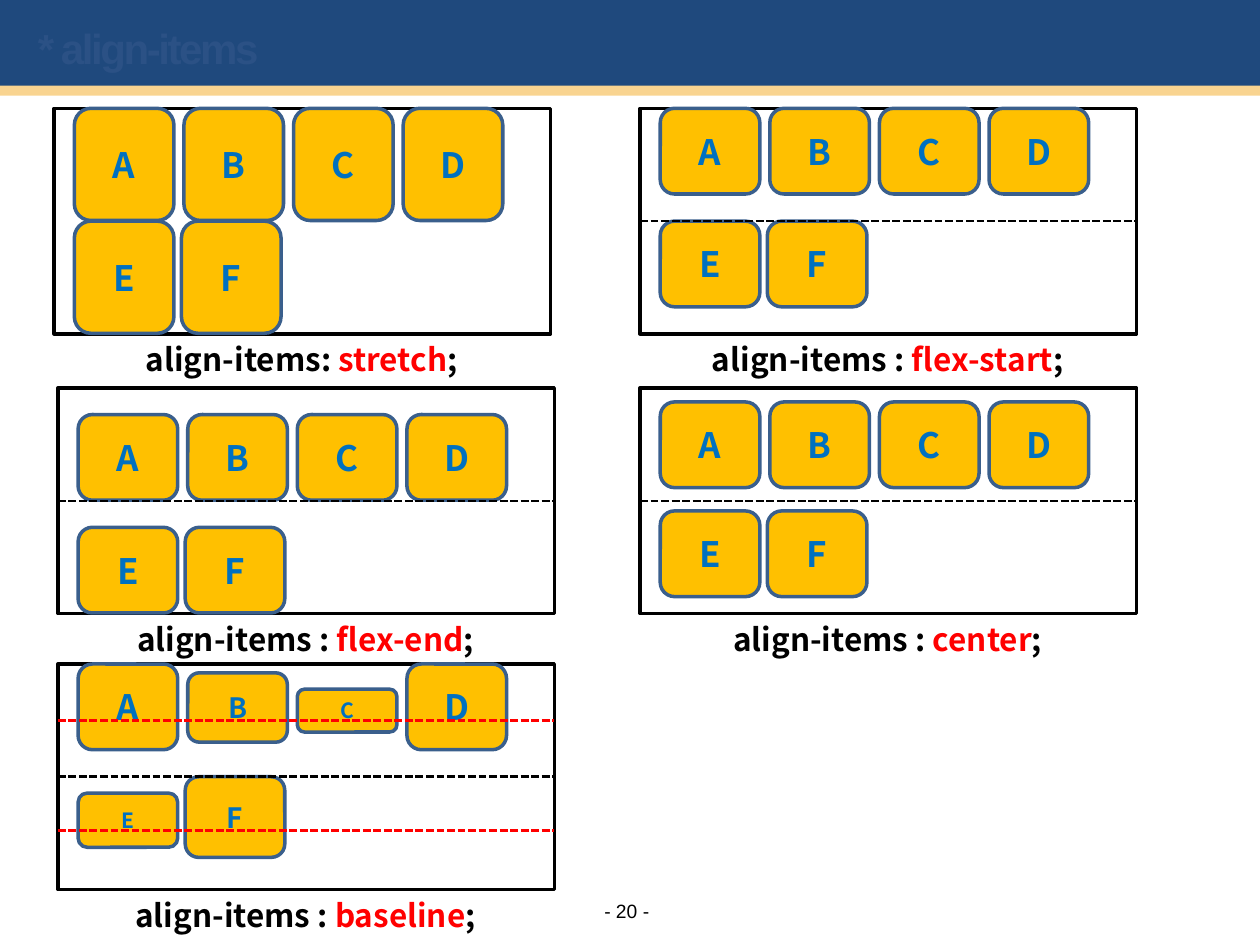
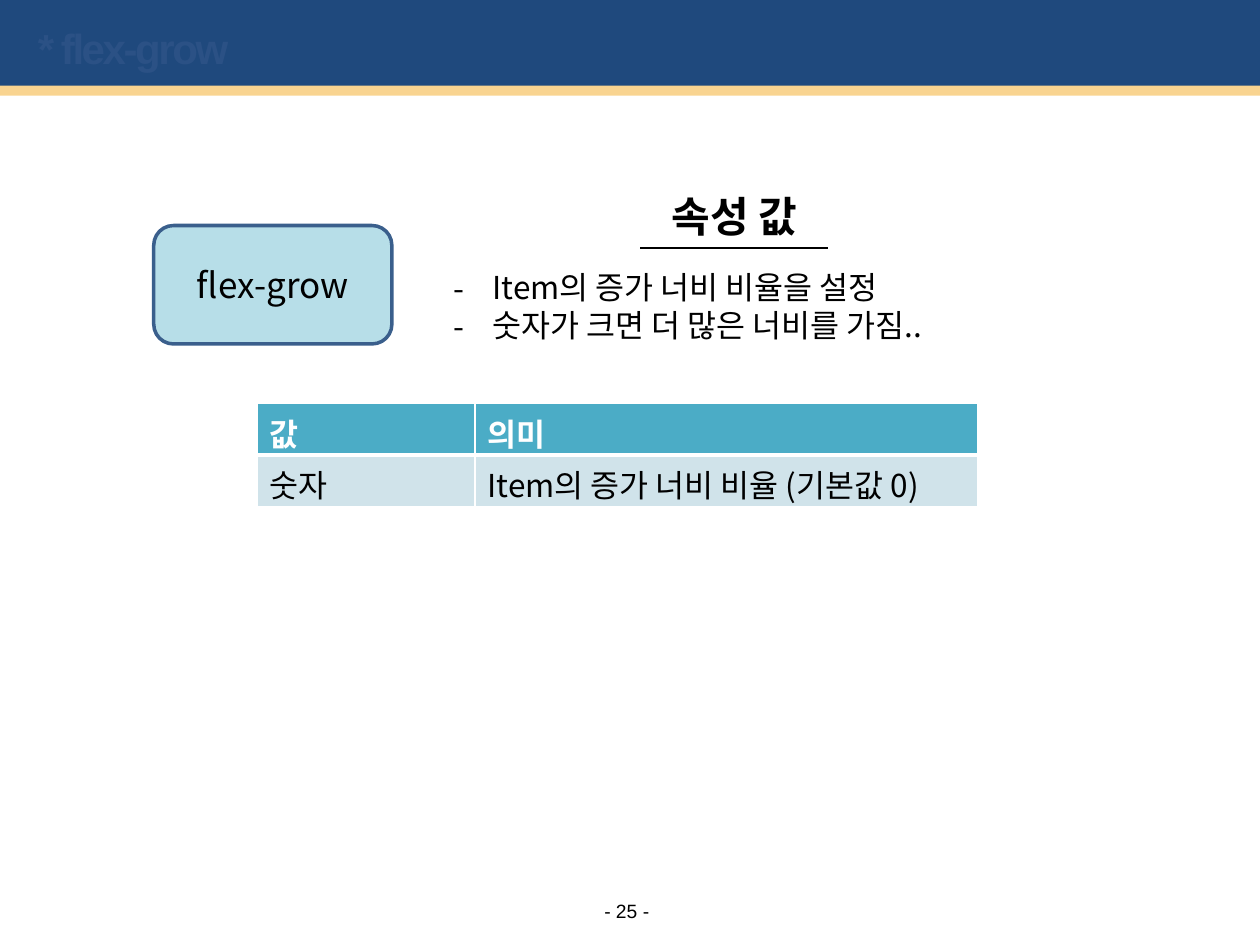
"""Build two slides on the flexbox properties align-items and flex-grow."""
from lxml import etree
from pptx import Presentation
from pptx.dml.color import RGBColor
from pptx.enum import dml, shapes, text
from pptx.oxml.ns import qn
from pptx.util import Inches, Pt

COLORS = {
    "navy": "1F497D", "sand": "F9D490", "title": "2B5185", "black": "000000",
    "white": "FFFFFF", "red": "FF0000", "amber": "FFC000", "outline": "3A5F8C",
    "letter": "0070C0", "sky": "B7DEE8", "teal": "4BACC6", "pale": "D0E3EA",
}
BODY_FONT, LATIN_FONT = "Noto Sans CJK KR", "Arial"
BANDS = [(0, 0.73, "navy"), (0.68, 0.08, "sand")]

PANEL_W, PANEL_H = 3.94, 1.79
ITEM_W, ITEM_INSET = 0.79, 0.16
ROWS = [("ABCD", 0.87), ("EF", 0.85)]
BASELINE_ITEMS = {
    "A": (0, 0.68, 20), "B": (0.07, 0.55, 16), "C": (0.2, 0.34, 12),
    "D": (0, 0.68, 20), "E": (0.13, 0.43, 12), "F": (0, 0.64, 16),
}


def same_items(height, first_row_top, second_row_top):
    tops = (first_row_top, second_row_top)
    return {letter: (top, height, 20)
            for (letters, _), top in zip(ROWS, tops) for letter in letters}


PANELS = [
    (0.43, 0.86, "align-items: ", "stretch", same_items(0.89, 0, 0), []),
    (5.08, 0.86, "align-items : ", "flex-start", same_items(0.68, 0, 0),
     [(PANEL_H / 2, "black")]),
    (0.46, 3.08, "align-items : ", "flex-end", same_items(0.68, 0.21, 0.21),
     [(PANEL_H / 2, "black")]),
    (5.08, 3.08, "align-items : ", "center", same_items(0.68, 0.11, 0.08),
     [(PANEL_H / 2, "black")]),
    (0.46, 5.27, "align-items : ", "baseline", BASELINE_ITEMS,
     [(PANEL_H / 2, "black"), (0.45, "red"), (1.32, "red")]),
]

GROW_NOTES = ["Item의 증가 너비 비율을 설정", "숫자가 크면 더 많은 너비를 가짐.."]
VALUE_TABLE = [("값", "의미"), ("숫자", "Item의 증가 너비 비율 (기본값 0)")]
COLUMN_WIDTHS = [1.73, 3.99]
ROW_HEIGHT = 0.41


def rgb(name):
    return RGBColor.from_string(COLORS[name])


def box(*lengths):
    return [Inches(length) for length in lengths]


def style(p, size, color="black", bold=False, align=None, font=BODY_FONT):
    p.alignment = align
    p.font.size, p.font.bold, p.font.name = Pt(size), bold, font
    p.font.color.rgb = rgb(color)
    ea = etree.SubElement(p.font._element, qn("a:ea"))
    ea.set("typeface", font)


def add_box(s, kind, place, fill=None, line=None):
    sp = s.shapes.add_shape(kind, *box(*place))
    sp.shadow.inherit = False
    if fill:
        sp.fill.solid()
        sp.fill.fore_color.rgb = rgb(fill)
    else:
        sp.fill.background()
    if line:
        sp.line.color.rgb = rgb(line)
        sp.line.width = Pt(2)
    else:
        sp.line.fill.background()
    return sp


def add_round_box(s, place, label, size, fill, color, bold):
    sp = add_box(s, shapes.MSO_SHAPE.ROUNDED_RECTANGLE, place, fill, "outline")
    tf = sp.text_frame
    tf.vertical_anchor = text.MSO_ANCHOR.MIDDLE
    p = tf.paragraphs[0]
    p.text = label
    style(p, size, color, bold, text.PP_ALIGN.CENTER)


def add_text(s, place):
    tf = s.shapes.add_textbox(*box(*place)).text_frame
    tf.word_wrap = True
    return tf


def add_line(s, left, right, y, color="black", dashed=False):
    ln = s.shapes.add_connector(shapes.MSO_CONNECTOR.STRAIGHT, *box(left, y, right, y))
    etree.SubElement(ln._element.spPr, qn("a:effectLst"))
    ln.line.color.rgb = rgb(color)
    ln.line.width = Pt(1.5)
    if dashed:
        ln.line.dash_style = dml.MSO_LINE.SQUARE_DOT


def add_bands(s):
    for top, height, color in BANDS:
        sp = add_box(s, shapes.MSO_SHAPE.RECTANGLE, (0, top, 10, height), color)
        s.slide_layout.shapes._spTree.append(sp._element)


def add_slide(prs, title, number):
    s = prs.slides.add_slide(prs.slide_layouts[5])
    sp = s.shapes.title
    sp.left, sp.top, sp.width, sp.height = box(0.2, 0.08, 9, 0.6)
    sp.text_frame.text = title
    sp.text_frame.vertical_anchor = text.MSO_ANCHOR.MIDDLE
    p = sp.text_frame.paragraphs[0]
    style(p, 24, "title", True, text.PP_ALIGN.LEFT, LATIN_FONT)
    p.font._element.set("spc", "-140")

    tf = add_text(s, (4.76, 7.13, 0.43, 0.19))
    tf.word_wrap = False
    tf.margin_left = tf.margin_right = tf.margin_top = tf.margin_bottom = 0
    tf.vertical_anchor = text.MSO_ANCHOR.MIDDLE
    p = tf.paragraphs[0]
    p.text = f"- {number} -"
    style(p, 11, align=text.PP_ALIGN.CENTER, font=LATIN_FONT)
    return s


def add_panel(s, left, top, prefix, value, items, dividers):
    add_box(s, shapes.MSO_SHAPE.RECTANGLE, (left, top, PANEL_W, PANEL_H), line="black")
    for row, (letters, pitch) in enumerate(ROWS):
        for col, letter in enumerate(letters):
            offset, height, size = items[letter]
            place = (left + ITEM_INSET + col * pitch,
                     top + row * PANEL_H / 2 + offset, ITEM_W, height)
            add_round_box(s, place, letter, size, "amber", "letter", True)
    for offset, color in dividers:
        add_line(s, left, left + PANEL_W, top + offset, color, dashed=True)

    p = add_text(s, (left + 0.08, top + PANEL_H, 3.77, 0.4)).paragraphs[0]
    style(p, 18, bold=True, align=text.PP_ALIGN.CENTER)
    for part in (prefix, value, ";"):
        r = p.add_run()
        r.text = part
        if part == value:
            r.font.color.rgb = rgb("red")


def add_borders(cell, **widths):
    tc_pr = cell._tc.get_or_add_tcPr()
    for side in "LRTB":
        ln = etree.SubElement(tc_pr, qn(f"a:ln{side}"), w=str(Pt(widths.get(side, 1))))
        fill = etree.SubElement(ln, qn("a:solidFill"))
        etree.SubElement(fill, qn("a:srgbClr"), val=COLORS["white"])


def add_value_table(s):
    place = box(2.04, 3.2, sum(COLUMN_WIDTHS), ROW_HEIGHT * len(VALUE_TABLE))
    table = s.shapes.add_table(len(VALUE_TABLE), len(COLUMN_WIDTHS), *place).table
    for column, width in zip(table.columns, COLUMN_WIDTHS):
        column.width = Inches(width)
    for i, row in enumerate(VALUE_TABLE):
        header = i == 0
        for j, value in enumerate(row):
            cell = table.cell(i, j)
            add_borders(cell, **({"B": 3} if header else {"T": 3}))
            cell.fill.solid()
            cell.fill.fore_color.rgb = rgb("teal" if header else "pale")
            p = cell.text_frame.paragraphs[0]
            p.text = value
            style(p, 18, "white" if header else "black", header)


def add_grow_notes(s):
    tf = add_text(s, (3.5, 2.08, 4.88, 0.71))
    for i, note in enumerate(GROW_NOTES):
        p = tf.add_paragraph() if i else tf.paragraphs[0]
        p.text = note
        p_pr = p._p.get_or_add_pPr()
        p_pr.set("marL", str(Inches(0.31)))
        p_pr.set("indent", str(-Inches(0.31)))
        etree.SubElement(p_pr, qn("a:buFont"), typeface=BODY_FONT)
        etree.SubElement(p_pr, qn("a:buChar"), char="-")
        style(p, 18)


def main():
    prs = Presentation()
    prs.slide_width, prs.slide_height = box(10, 7.5)

    s = add_slide(prs, "* align-items", 20)
    add_bands(s)
    for panel in PANELS:
        add_panel(s, *panel)

    s = add_slide(prs, "* flex-grow", 25)
    add_round_box(s, (1.22, 1.79, 1.89, 0.94), "flex-grow", 20, "sky", "black", False)
    p = add_text(s, (3.9, 1.46, 3.86, 0.5)).paragraphs[0]
    p.text = "속성 값"
    style(p, 24, bold=True, align=text.PP_ALIGN.CENTER)
    add_grow_notes(s)
    add_line(s, 5.08, 6.57, 1.97)
    add_value_table(s)

    prs.save("out.pptx")


if __name__ == "__main__":
    main()
